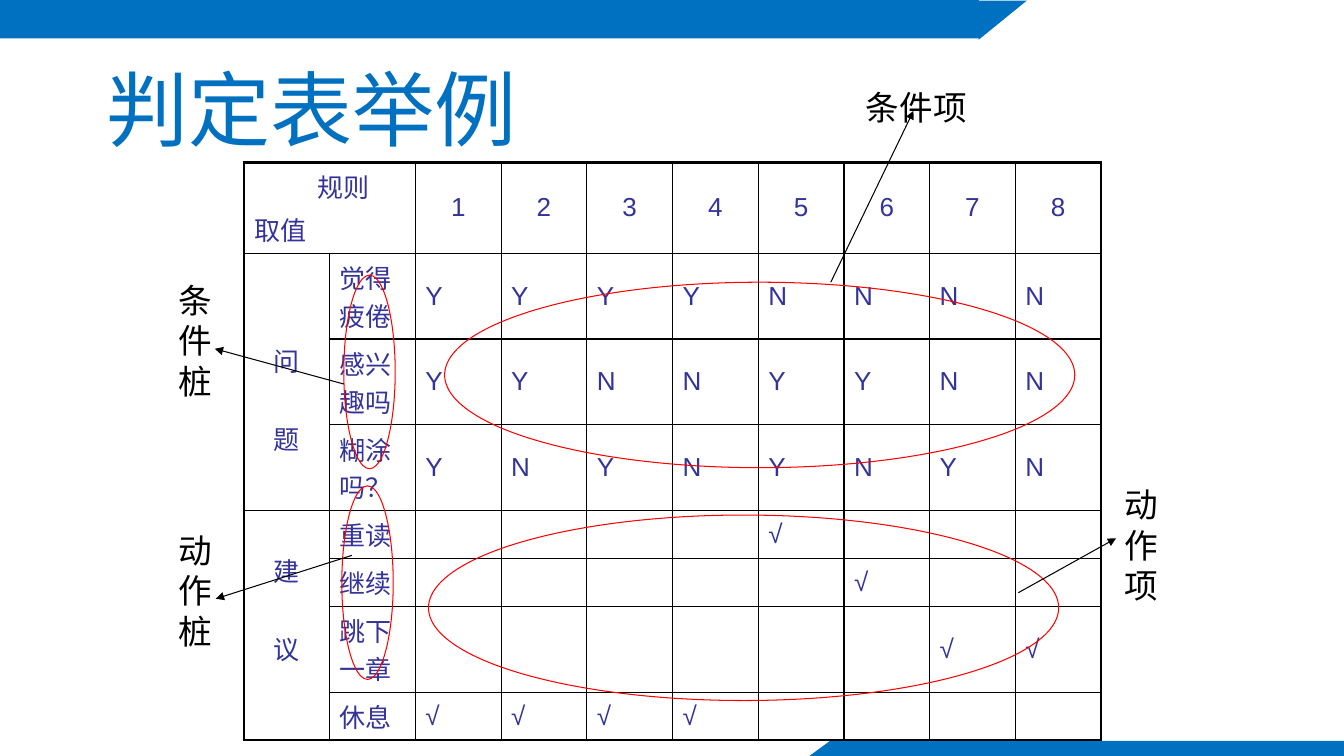
from dataclasses import dataclass

from lxml import etree
from pptx import Presentation
from pptx.dml.color import RGBColor
from pptx.enum.shapes import MSO_CONNECTOR, MSO_SHAPE
from pptx.enum.text import MSO_ANCHOR, MSO_AUTO_SIZE, PP_ALIGN
from pptx.oxml.ns import qn
from pptx.util import Inches, Pt

RECTANGLE, TRIANGLE, OVAL = MSO_SHAPE.RECTANGLE, MSO_SHAPE.RIGHT_TRIANGLE, MSO_SHAPE.OVAL
STRAIGHT = MSO_CONNECTOR.STRAIGHT
LEFT, CENTER = PP_ALIGN.LEFT, PP_ALIGN.CENTER
TOP, MIDDLE = MSO_ANCHOR.TOP, MSO_ANCHOR.MIDDLE
NO_AUTOFIT = MSO_AUTO_SIZE.NONE

COLORS = {"blue": "0070C0", "white": "FFFFFF", "navy": "333399", "black": "000000", "red": "FF0000"}
THIN, THICK = 1, 2.25
TABLE_SIZE = 18.6
COLUMN_WIDTH = 0.85
ROW_HEIGHTS = (0.78, 0.84, 0.84, 0.84, 0.45, 0.45, 0.84, 0.45)
STUB_GAP = 28.7  # one empty line between the two characters of a group name


@dataclass(frozen=True)
class Band:
    """A piece of the page's coloured edge."""
    kind: MSO_SHAPE
    box: tuple[float, float, float, float]
    color: str
    rotation: float = 0


@dataclass(frozen=True)
class Callout:
    """A ringed region of the table, an arrow and its label."""
    label: str
    ring: tuple[float, float, float, float]
    start: tuple[float, float]
    end: tuple[float, float]
    label_box: tuple[float, float, float, float]


BANDS = (
    Band(RECTANGLE, (0, 0, 13.33, 0.38), "blue"),
    Band(RECTANGLE, (9.71, 0, 3.62, 0.5), "white"),
    Band(RECTANGLE, (8.23, 7.35, 5.1, 0.15), "blue"),
    Band(TRIANGLE, (9.75, -0.04, 0.39, 0.48), "blue", 90),
    Band(TRIANGLE, (8.05, 7.32, 0.16, 0.21), "blue", 271),
)
CALLOUTS = (
    Callout("条件桩", (3.41, 2.73, 0.51, 1.92), (3.41, 3.81), (2.13, 3.46), (1.67, 2.72, 0.59, 1.31)),
    Callout("动作桩", (3.39, 4.82, 0.51, 1.92), (3.49, 5.51), (2.14, 5.94), (1.67, 5.2, 0.59, 1.31)),
    Callout("条件项", (4.41, 2.8, 6.25, 1.84), (8.24, 2.8), (9.06, 1.1), (8.49, 0.81, 2.75, 0.5)),
    Callout("动作项", (4.25, 5.11, 6.25, 1.84), (10.1, 5.88), (11.07, 5.34), (11.05, 4.75, 0.62, 1.31)),
)
# Each stub with one mark per rule; a dot is an empty cell.
RULES = (
    ("觉得疲倦", "YYYYNNNN"),
    ("感兴趣吗", "YYNNYYNN"),
    ("糊涂吗？", "YNYNYNYN"),
    ("重读", "....√..."),
    ("继续", ".....√.."),
    ("跳下一章", "......√√"),
    ("休息", "√√√√...."),
)


def color_of(name):
    """Look up a palette colour."""
    return RGBColor.from_string(COLORS[name])


def write_text(frame, text, *, font, size, color, align=LEFT, before=0.0, line=None):
    """Write one formatted paragraph per line of text."""
    frame.word_wrap = True
    frame.text = text
    for para in frame.paragraphs:
        para.alignment = align
        para.space_before = Pt(before)
        if line:
            para.line_spacing = Pt(line)
        for span in para.runs:
            span.font.name = font
            span.font.size = Pt(size)
            span.font.color.rgb = color_of(color)


def add_outline(page, kind, box, *, fill=None, line=None, rotation=0.0):
    """Add a preset shape without shadow."""
    shape = page.shapes.add_shape(kind, *map(Inches, box))
    shape.shadow.inherit = False
    shape.rotation = rotation
    if fill:
        shape.fill.solid()
        shape.fill.fore_color.rgb = color_of(fill)
    else:
        shape.fill.background()
    if line:
        shape.line.color.rgb = color_of(line)
        shape.line.width = Pt(0.75)
    else:
        shape.line.fill.background()


def add_arrow(page, start, end):
    """Add a thin black arrow."""
    arrow = page.shapes.add_connector(STRAIGHT, *map(Inches, start + end))
    arrow.line.color.rgb = color_of("black")
    arrow.line.width = Pt(0.75)
    etree.SubElement(arrow.line._get_or_add_ln(), qn("a:tailEnd"), type="triangle")
    etree.SubElement(arrow._element.spPr, qn("a:effectLst"))


def add_callout(page, callout):
    """Draw a ring, its arrow and its label."""
    add_outline(page, OVAL, callout.ring, line="red")
    add_arrow(page, callout.start, callout.end)
    label = page.shapes.add_textbox(*map(Inches, callout.label_box))
    write_text(label.text_frame, callout.label, font="Times New Roman", size=24, color="black", line=29)


def set_borders(cell, widths):
    """Set black cell borders from a mapping of side to points."""
    properties = cell._tc.get_or_add_tcPr()
    for side, width in widths.items():
        line = etree.SubElement(properties, qn(f"a:ln{side}"), w=str(Pt(width)))
        fill = etree.SubElement(line, qn("a:solidFill"))
        etree.SubElement(fill, qn("a:srgbClr"), val=COLORS["black"])


def fill_cell(cell, text, *, align=LEFT, before=3.7):
    """Write a table cell's text, centred vertically."""
    cell.vertical_anchor = MIDDLE
    write_text(cell.text_frame, text, font="Arial", size=TABLE_SIZE, color="navy", align=align, before=before)


def add_decision_table(page):
    """Build the table of rules, conditions and actions."""
    row_count, column_count = len(ROW_HEIGHTS), 10
    frame = page.shapes.add_table(row_count, column_count, Inches(2.42), Inches(1.61),
                                  Inches(COLUMN_WIDTH * column_count), Inches(sum(ROW_HEIGHTS)))
    table = frame.table
    table.first_row = table.horz_banding = False
    for column in table.columns:
        column.width = Inches(COLUMN_WIDTH)
    for row, height in zip(table.rows, ROW_HEIGHTS):
        row.height = Inches(height)

    corner, problem, advice = table.cell(0, 0), table.cell(1, 0), table.cell(4, 0)
    corner.merge(table.cell(0, 1))
    problem.merge(table.cell(3, 0))
    advice.merge(table.cell(7, 0))
    fill_cell(corner, "规则\n取值")
    corner.text_frame.paragraphs[0]._p.get_or_add_pPr().set("marL", str(Inches(0.63)))
    for cell, text in ((problem, "问\n题"), (advice, "建\n议")):
        fill_cell(cell, text, align=CENTER, before=STUB_GAP)
        cell.text_frame.paragraphs[0].space_before = Pt(0)
        cell.margin_top = Inches(0.4)
    advice.vertical_anchor = TOP

    for number in range(1, 9):
        fill_cell(table.cell(0, number + 1), str(number), align=CENTER)
    for row, (stub, marks) in enumerate(RULES, start=1):
        fill_cell(table.cell(row, 1), stub)
        for column, mark in enumerate(marks, start=2):
            if mark != ".":
                fill_cell(table.cell(row, column), mark)

    for row in range(row_count):
        for column in range(column_count):
            cell = table.cell(row, column)
            if cell.is_spanned:
                continue
            last_row = row + cell.span_height == row_count if cell.is_merge_origin else row == row_count - 1
            set_borders(cell, {
                "L": THICK if column == 0 else THIN,
                "R": THICK if column == column_count - 1 and row > 0 else THIN,
                "T": THICK if row == 0 else THIN,
                "B": THICK if last_row else THIN,
            })
            cell.fill.background()


def main():
    """Build and save the deck."""
    deck = Presentation()
    deck.slide_width, deck.slide_height = Inches(13.33), Inches(7.5)
    page = deck.slides.add_slide(deck.slide_layouts[5])
    for band in BANDS:
        add_outline(page, band.kind, band.box, fill=band.color, rotation=band.rotation)
    title = page.shapes.title
    title.left, title.top, title.width, title.height = map(Inches, (0.93, 0.61, 12.4, 0.91))
    title.text_frame.auto_size = NO_AUTOFIT
    title.text_frame.vertical_anchor = MIDDLE
    title.text_frame.margin_left = Inches(0.13)
    write_text(title.text_frame, "判定表举例", font="Montserrat", size=58.6, color="blue")
    add_decision_table(page)
    for callout in CALLOUTS:
        add_callout(page, callout)
    deck.save("out.pptx")


main()
